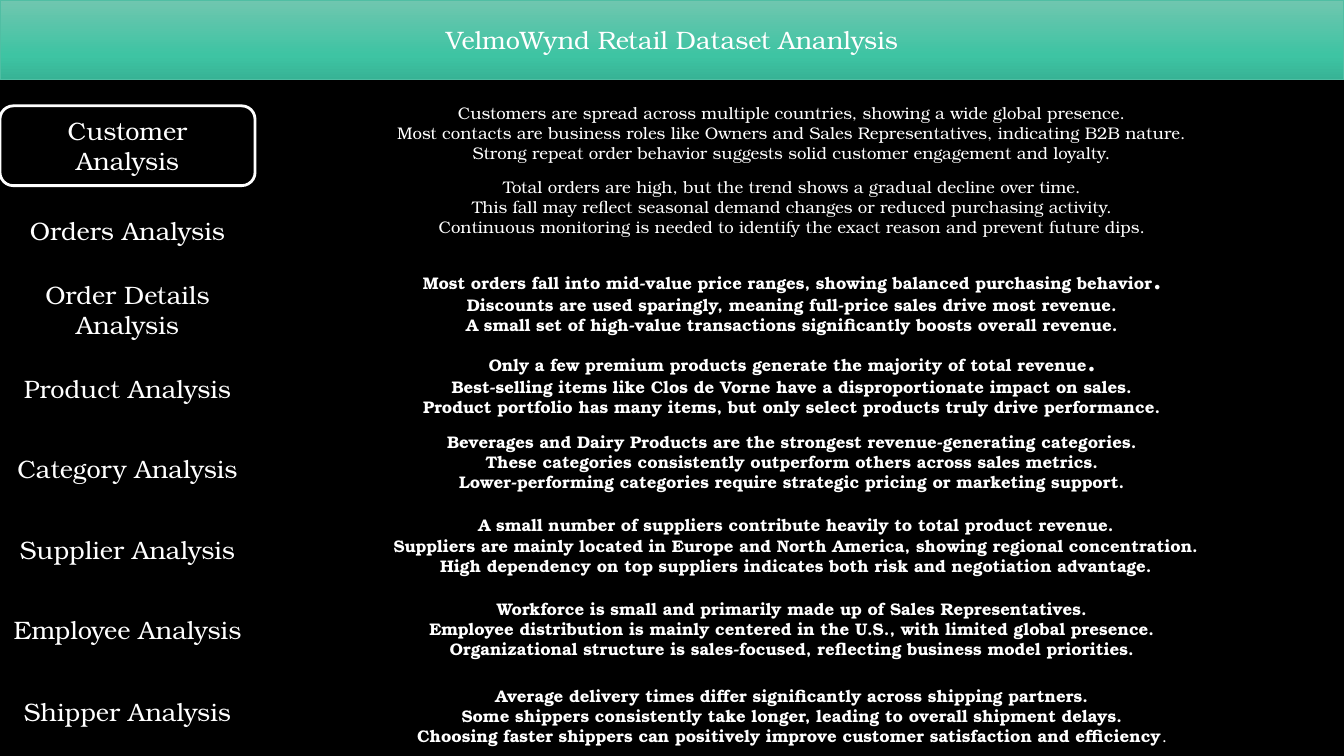
from copy import deepcopy

from pptx import Presentation
from pptx.dml.color import RGBColor
from pptx.enum.shapes import MSO_SHAPE as Preset
from pptx.enum.text import MSO_ANCHOR as Anchor, MSO_AUTO_SIZE as AutoSize, PP_ALIGN as Align
from pptx.util import Pt


def colour(value):
    return RGBColor.from_string(value)


def add_text(para, text, size=18, bold=False):
    para.alignment = Align.CENTER
    span = para.add_run()
    span.text = text
    span.font.name = "TeX Gyre Bonum"
    span.font.size = Pt(size)
    span.font.bold = bold
    span.font.color.rgb = colour("FFFFFF")


deck = Presentation()
deck.slide_width, deck.slide_height = Pt(960), Pt(540)
page = deck.slides.add_slide(deck.slide_layouts[5])
page.background.fill.solid()
page.background.fill.fore_color.rgb = colour("000000")

title = page.shapes.title
title.left, title.top, title.width, title.height = Pt(0), Pt(0), Pt(960), Pt(57)
title.fill.gradient()
title.fill.gradient_angle = 270
stop_list = title.element.xpath(".//a:gsLst")[0]
stop_list.append(deepcopy(stop_list[-1]))
banner_stops = [(0, "70C6AF"), (0.69, "3EC4A3"), (1, "37B395")]
for stop, (position, shade) in zip(title.fill.gradient_stops, banner_stops):
    stop.position = position
    stop.color.rgb = colour(shade)
title.line.color.rgb = colour("50BEA3")
title.line.width = Pt(1)
title.text_frame.auto_size = AutoSize.NONE
title.text_frame.vertical_anchor = Anchor.MIDDLE
add_text(title.text_frame.paragraphs[0], "VelmoWynd Retail Dataset Ananlysis")

sections = [
    ("Customer Analysis", 75.6, 57, 197.3, 66.2, 736.6, 57.6, [
        "Customers are spread across multiple countries, showing a wide global presence.",
        "Most contacts are business roles like Owners and Sales Representatives, indicating B2B nature.",
        "Strong repeat order behavior suggests solid customer engagement and loyalty."]),
    ("Orders Analysis", 140.4, 49, 200.9, 127.4, 730, 57.6, [
        "Total orders are high, but the trend shows a gradual decline over time.",
        "This fall may reflect seasonal demand changes or reduced purchasing activity.",
        "Continuous monitoring is needed to identify the exact reason and prevent future dips."]),
    ("Order Details Analysis", 198, 46, 200.9, 188.6, 730, 51.1, [
        "Most orders fall into mid-value price ranges, showing balanced purchasing behavior.",
        "Discounts are used sparingly, meaning full-price sales drive most revenue.",
        "A small set of high-value transactions significantly boosts overall revenue."]),
    ("Product Analysis", 252.7, 49, 200.9, 245.5, 730, 54.7, [
        "Only a few premium products generate the majority of total revenue.",
        "Best-selling items like Clos de Vorne have a disproportionate impact on sales.",
        "Product portfolio has many items, but only select products truly drive performance."]),
    ("Category Analysis", 310.3, 49, 200.9, 303.8, 730, 52.6, [
        "Beverages and Dairy Products are the strongest revenue-generating categories.",
        "These categories consistently outperform others across sales metrics.",
        "Lower-performing categories require strategic pricing or marketing support."]),
    ("Supplier Analysis", 367.9, 49, 203.8, 362.2, 730, 54.7, [
        "A small number of suppliers contribute heavily to total product revenue.",
        "Suppliers are mainly located in Europe and North America, showing regional concentration.",
        "High dependency on top suppliers indicates both risk and negotiation advantage."]),
    ("Employee Analysis", 425.5, 47.5, 200.9, 420.5, 730, 57.6, [
        "Workforce is small and primarily made up of Sales Representatives.",
        "Employee distribution is mainly centered in the U.S., with limited global presence.",
        "Organizational structure is sales-focused, reflecting business model priorities."]),
    ("Shipper Analysis", 481, 54, 200.9, 482.4, 730, 57.6, [
        "Average delivery times differ significantly across shipping partners.",
        "Some shippers consistently take longer, leading to overall shipment delays.",
        "Choosing faster shippers can positively improve customer satisfaction and efficiency."]),
]
plain_sections = ["Customer Analysis", "Orders Analysis"]
full_stops = {
    ("Order Details Analysis", 0): {"size": 18, "bold": True},
    ("Product Analysis", 0): {"size": 18, "bold": True},
    ("Shipper Analysis", 2): {"size": 12, "bold": False},
}

for name, label_top, label_height, left, top, width, height, findings in sections:
    selected = name == "Customer Analysis"
    frames = []
    for bounds, edge, weight in [
        ((0, label_top, 182.2, label_height), "FFFFFF" if selected else "000000", 2 if selected else 1.5),
        ((left, top, width, height), "000000", 1.5),
    ]:
        box = page.shapes.add_shape(Preset.ROUNDED_RECTANGLE, *map(Pt, bounds))
        box.shadow.inherit = False
        box.fill.solid()
        box.fill.fore_color.rgb = colour("000000")
        box.line.color.rgb = colour(edge)
        box.line.width = Pt(weight)
        box.text_frame.word_wrap = True
        box.text_frame.vertical_anchor = Anchor.MIDDLE
        frames.append(box.text_frame)

    label, notes = frames
    add_text(label.paragraphs[0], name)
    if name == "Orders Analysis":
        notes.margin_bottom = Pt(20.4)
    bold = name not in plain_sections
    for index, finding in enumerate(findings):
        para = notes.add_paragraph() if index else notes.paragraphs[0]
        ending = full_stops.get((name, index))
        add_text(para, finding[:-1] if ending else finding, size=12, bold=bold)
        if ending:
            add_text(para, ".", **ending)

deck.save("out.pptx")
